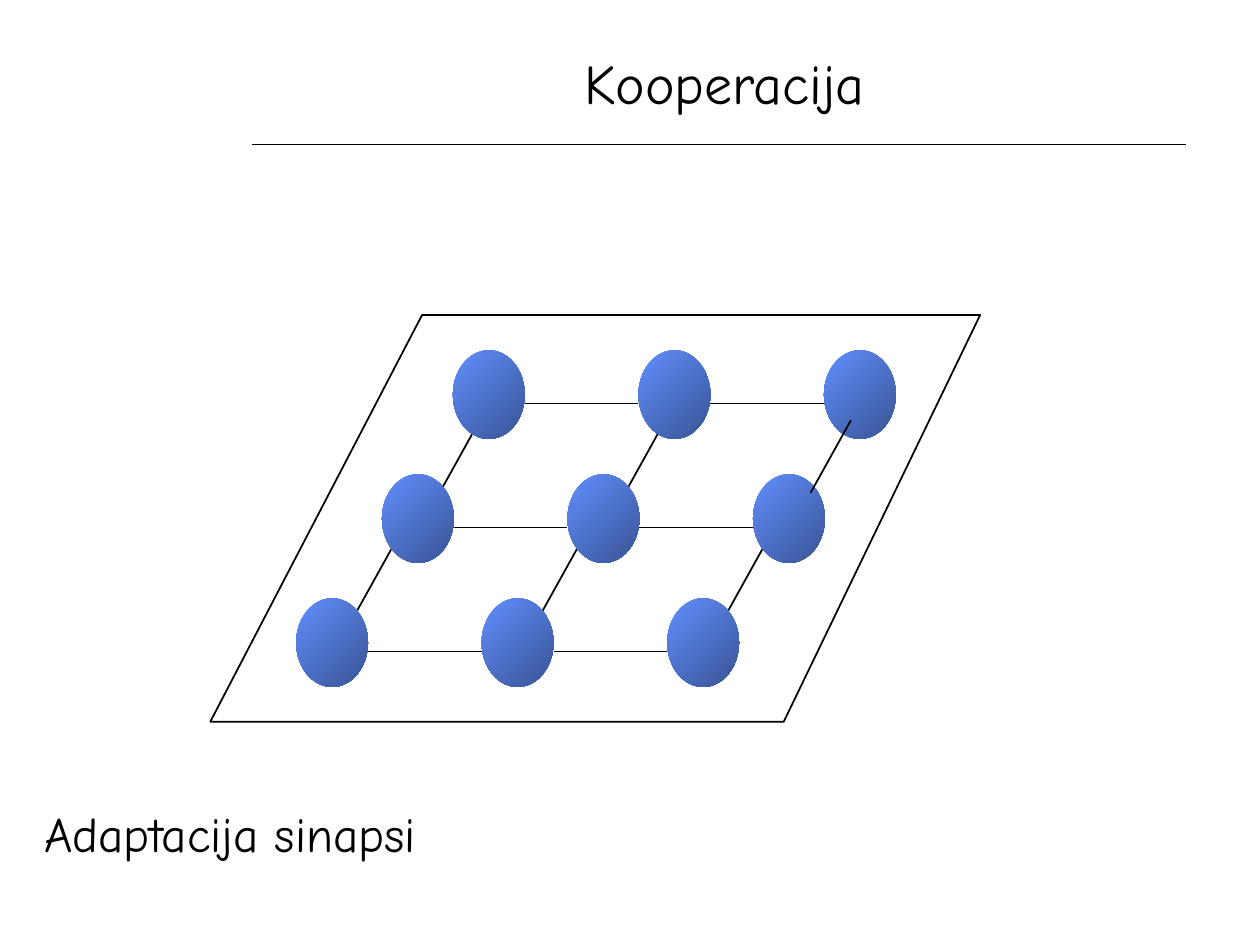
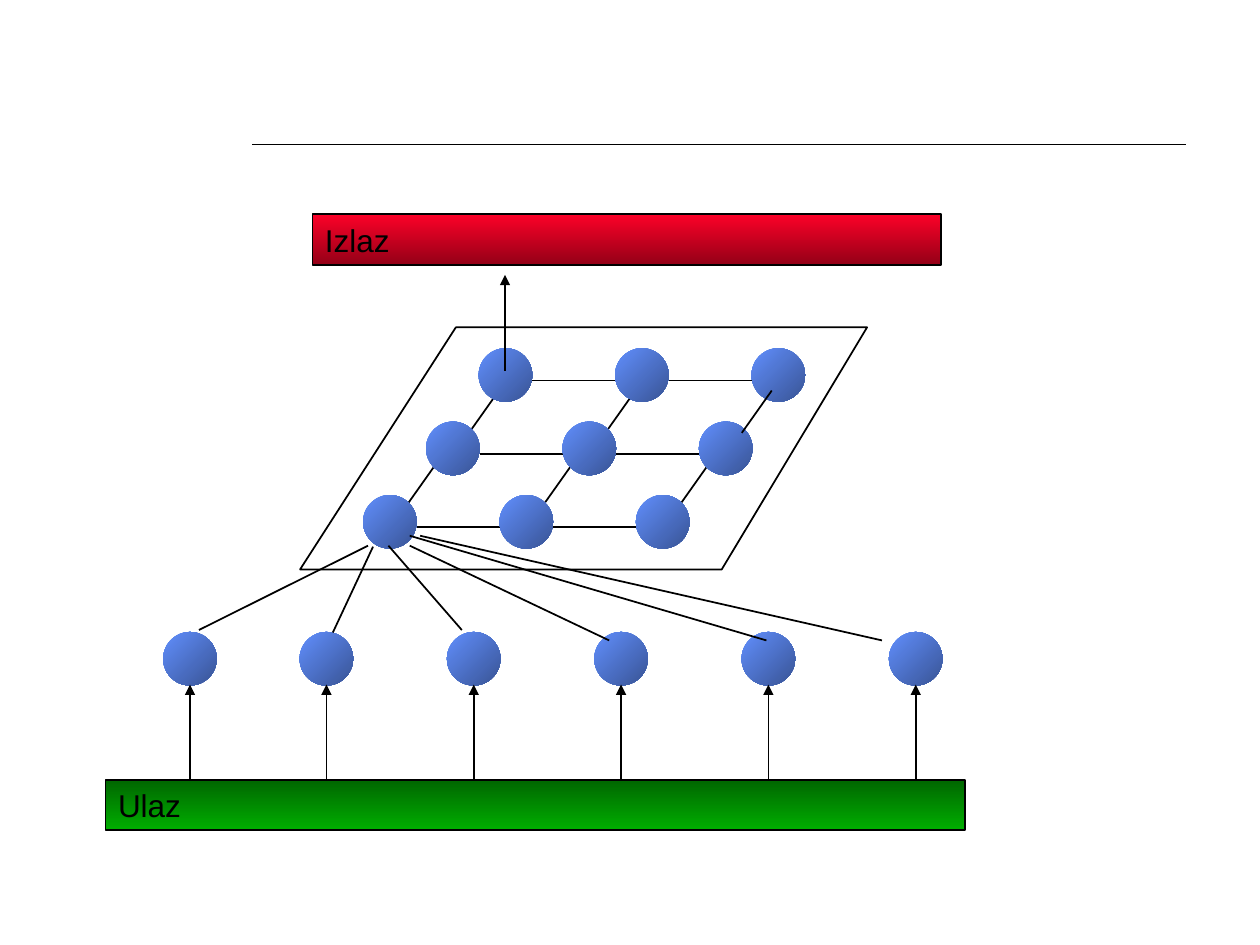
from lxml.etree import SubElement
from pptx import Presentation
from pptx.dml.color import RGBColor
from pptx.enum.shapes import MSO_CONNECTOR, MSO_SHAPE
from pptx.enum.text import MSO_ANCHOR, MSO_AUTO_SIZE, PP_ALIGN
from pptx.oxml.ns import qn
from pptx.util import Cm, Pt

BLACK = RGBColor(0x00, 0x00, 0x00)
BLUE = RGBColor(0x61, 0x8F, 0xFD)
RED = RGBColor(0xFC, 0x01, 0x28)
GREEN = RGBColor(0x00, 0xAE, 0x00)
HEADING_FONT = "Comic Neue"
LABEL_FONT = "Arial"
DARK_SHADE = "29804"


def add_line(shapes, x1, y1, x2, y2, arrow=False, width=1):
    line = shapes.add_connector(MSO_CONNECTOR.STRAIGHT, Cm(x1), Cm(y1), Cm(x2), Cm(y2))
    line.line.color.rgb = BLACK
    line.line.width = Pt(width)
    properties = line.element.spPr
    if arrow:
        SubElement(properties.find(qn("a:ln")), qn("a:tailEnd"), type="triangle")
    SubElement(properties, qn("a:effectLst"))
    return line


def add_shaded(shapes, kind, left, top, width, height, color, angle, dark_stop=1):
    shape = shapes.add_shape(kind, Cm(left), Cm(top), Cm(width), Cm(height))
    shape.shadow.inherit = False
    shape.line.fill.background()
    shape.fill.gradient()
    shape.fill.gradient_angle = angle
    for stop in shape.fill.gradient_stops:
        stop.color.rgb = color
    # The dark end is a shade of the same colour
    dark = shape.element.spPr.findall(".//" + qn("a:srgbClr"))[dark_stop]
    SubElement(dark, qn("a:shade"), val=DARK_SHADE)
    return shape


deck = Presentation()
deck.slide_width, deck.slide_height = Cm(25.4), Cm(19.05)
layout = deck.slide_layouts.get_by_name("Title Only")
cooperation = deck.slides.add_slide(layout)
network = deck.slides.add_slide(layout)

# Rule under the title, shared through the layout
rule = add_line(cooperation.shapes, 5.08, 2.92, 23.9, 2.92, width=0.75)
layout.shapes.element.append(rule.element)

# Title and caption of the first slide
title = cooperation.shapes.title
title.left, title.top, title.width, title.height = Cm(5.08), Cm(0.71), Cm(19.05), Cm(1.9)
caption = cooperation.shapes.add_textbox(Cm(0.64), Cm(16.08), Cm(22.66), Cm(1.7))
for box, text, size, align in (
    (title, "Kooperacija", 32, PP_ALIGN.CENTER),
    (caption, "Adaptacija sinapsi", 28, PP_ALIGN.LEFT),
):
    frame = box.text_frame
    frame.text = text
    frame.word_wrap = True
    frame.auto_size = MSO_AUTO_SIZE.NONE
    para = frame.paragraphs[0]
    para.alignment = align
    para.font.name, para.font.size = HEADING_FONT, Pt(size)
    para.font.color.rgb = BLACK

# The second slide has no title
empty_title = network.shapes.title.element
empty_title.getparent().remove(empty_title)

# Neuron layers: frame corners, row lefts (bottom up), bottom row top, steps, neuron size
layers = (
    (cooperation.shapes.add_group_shape().shapes,
     [(4.24, 14.55), (15.8, 14.55), (19.76, 6.35), (8.51, 6.35)],
     [5.97, 7.7, 9.13], 12.06, 3.74, 2.5, 1.45, 1.79),
    (network.shapes,
     [(6.05, 11.48), (14.55, 11.48), (17.48, 6.6), (9.19, 6.6)],
     [7.32, 8.59, 9.65], 9.98, 2.75, 1.48, 1.08, 1.08),
)
for shapes, corners, row_lefts, bottom_top, step_x, step_y, width, height in layers:
    corners = [(Cm(x), Cm(y)) for x, y in corners]
    builder = shapes.build_freeform(*corners[0], scale=1.0)
    builder.add_line_segments(corners[1:], close=True)
    plane = builder.convert_to_shape()
    plane.shadow.inherit = False
    plane.fill.background()
    plane.line.color.rgb = BLACK
    plane.line.width = Pt(1)

    neurons, links = [], []
    for row, row_left in enumerate(row_lefts):
        top = bottom_top - row * step_y
        for column in range(3):
            left = row_left + column * step_x
            neurons.append((left, top))
            if column < 2:
                link_y = top + 0.6 * height
                add_line(shapes, left + width, link_y, left + step_x, link_y)
            if row < 2:
                links.append((left + 0.8 * width, top + 0.21 * height,
                              left + 1.36 * width, top - step_y + 0.79 * height))
    for link in links[:-1]:
        add_line(shapes, *link)
    for left, top in neurons:
        add_shaded(shapes, MSO_SHAPE.OVAL, left, top, width, height, BLUE, 315)
    # The last link lies over its neurons
    add_line(shapes, *links[-1])

# Output and input bars
for text, left, top, width, color, dark_stop in (
    ("Izlaz", 6.3, 4.32, 12.67, RED, 1),
    ("Ulaz", 2.13, 15.72, 17.32, GREEN, 0),
):
    bar = add_shaded(network.shapes, MSO_SHAPE.RECTANGLE, left, top, width, 1.02,
                     color, 270, dark_stop)
    bar.line.color.rgb = BLACK
    bar.line.width = Pt(1)
    frame = bar.text_frame
    frame.text = text
    frame.vertical_anchor = MSO_ANCHOR.MIDDLE
    para = frame.paragraphs[0]
    para.alignment = PP_ALIGN.LEFT
    para.font.name, para.font.size = LABEL_FONT, Pt(18)
    para.font.color.rgb = BLACK

# Input neurons fed from the input bar
for center in [3.83] + [6.58 + 2.97 * index for index in range(5)]:
    add_shaded(network.shapes, MSO_SHAPE.OVAL, center - 0.54, 12.74, 1.08, 1.08, BLUE, 315)
    add_line(network.shapes, center, 15.72, center, 13.8, arrow=True)

# Synapses from the inputs to the first neuron
for synapse in (
    (4.01, 12.7, 7.42, 11),
    (6.71, 12.75, 7.52, 11.02),
    (9.31, 12.7, 7.83, 11),
    (12.28, 12.91, 8.26, 11),
    (15.45, 12.91, 8.26, 10.8),
    (17.78, 12.91, 8.47, 10.8),
):
    add_line(network.shapes, *synapse)

# Arrow to the output bar
add_line(network.shapes, 10.18, 7.47, 10.18, 5.54, arrow=True)

deck.save("out.pptx")
